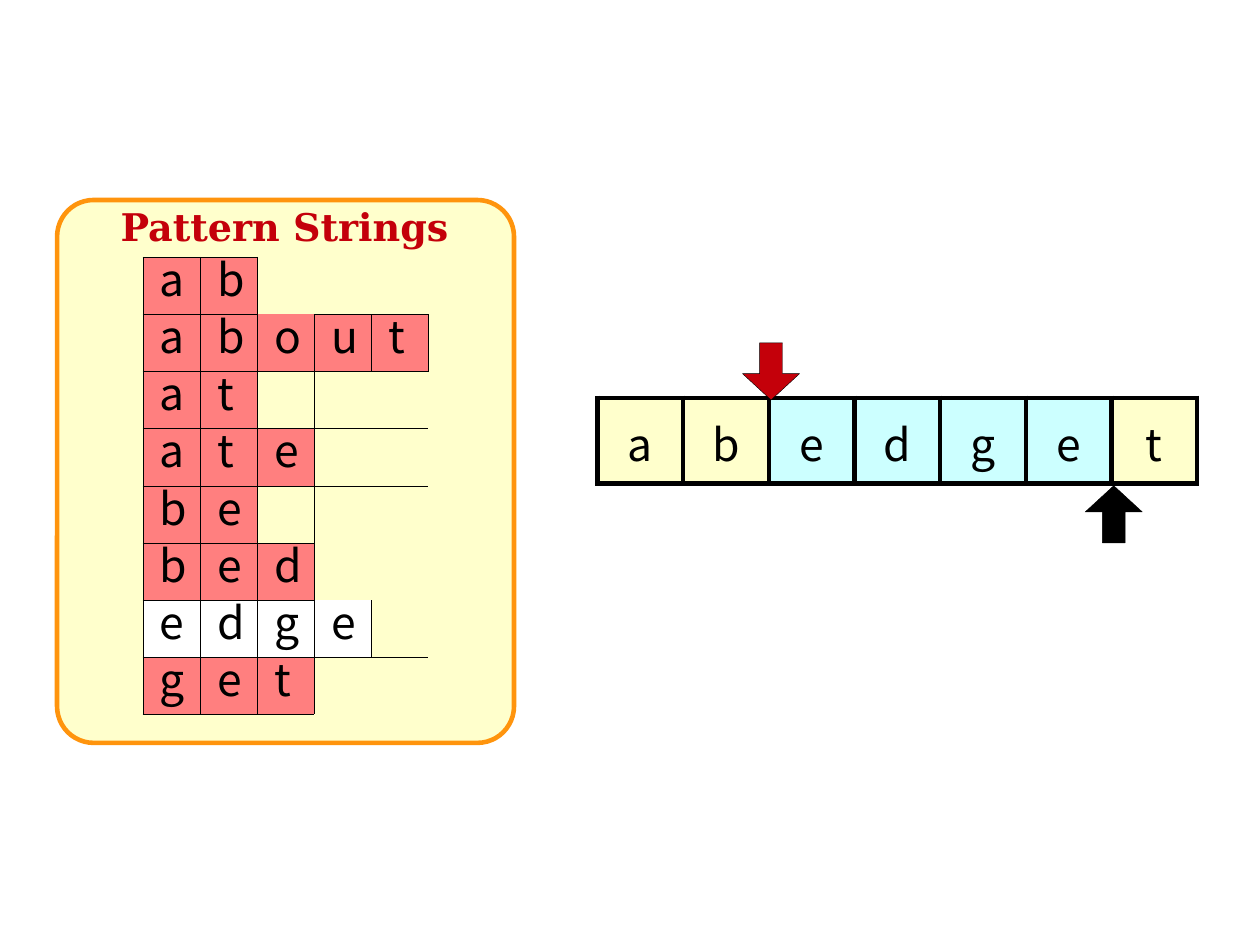
from dataclasses import dataclass

from lxml import etree
from pptx import Presentation
from pptx.dml.color import RGBColor
from pptx.enum.shapes import MSO_SHAPE
from pptx.enum.text import PP_ALIGN
from pptx.oxml.ns import qn
from pptx.util import Pt

ROUNDED = MSO_SHAPE.ROUNDED_RECTANGLE
DOWN_ARROW = MSO_SHAPE.DOWN_ARROW
UP_ARROW = MSO_SHAPE.UP_ARROW
LEFT = PP_ALIGN.LEFT
CENTER = PP_ALIGN.CENTER
PLAIN_TABLE_STYLE = "{2D5ABB26-0587-4C30-8999-92F81FD0307C}"


@dataclass(frozen=True)
class Theme:
    cream: str = "FFFFCC"
    orange: str = "FF940D"
    red: str = "C4000A"
    rose: str = "FF7F7F"
    cyan: str = "CCFFFF"
    white: str = "FFFFFF"
    black: str = "000000"
    title_font: str = "DejaVu Serif"
    letter_font: str = "Noto Sans CJK SC"
    title_size: float = 24
    letter_size: float = 28


def write_text(frame, text, *, font, size, color, bold=False, align=LEFT, spacing=None):
    paragraph = frame.paragraphs[0]
    paragraph.alignment = align
    if spacing:
        paragraph.line_spacing = Pt(spacing)
    run = paragraph.add_run()
    run.text = text
    run.font.name = font
    run.font.size = Pt(size)
    run.font.bold = bold
    run.font.color.rgb = RGBColor.from_string(color)


def cell_edges(row, column):
    return {
        "lnL": ("vertical", row, column),
        "lnR": ("vertical", row, column + 1),
        "lnT": ("horizontal", row, column),
        "lnB": ("horizontal", row + 1, column),
    }


class SlideBuilder:
    def __init__(self, slide, theme):
        self.slide = slide
        self.theme = theme

    def shape(self, kind, box, fill, line, width, adjustments):
        shape = self.slide.shapes.add_shape(kind, *map(Pt, box))
        shape.shadow.inherit = False
        shape.fill.solid()
        shape.fill.fore_color.rgb = RGBColor.from_string(fill)
        shape.line.color.rgb = RGBColor.from_string(line)
        shape.line.width = Pt(width)
        for index, value in enumerate(adjustments):
            shape.adjustments[index] = value

    def arrow(self, kind, tip, top, fill):
        size = 36
        box = (tip - size / 2, top, size, size)
        self.shape(kind, box, fill, self.theme.black, 0.25, (0.4, 0.46))

    def title(self, text, box):
        frame = self.slide.shapes.add_textbox(*map(Pt, box)).text_frame
        frame.word_wrap = True
        frame.margin_left = frame.margin_right = frame.margin_bottom = 0
        frame.margin_top = Pt(1)
        write_text(frame, text, font=self.theme.title_font, size=self.theme.title_size,
                   color=self.theme.red, bold=True)

    def border(self, cell, side, width):
        properties = cell._tc.get_or_add_tcPr()
        line = etree.SubElement(properties, qn(f"a:{side}"), w=str(Pt(width)))
        fill = etree.SubElement(line, qn("a:solidFill"))
        etree.SubElement(fill, qn("a:srgbClr"), val=self.theme.black)

    def letter_table(self, words, fills, origin, size, line_width, *, margins=(0, 0),
                     align=LEFT, spacing=None, hidden=(), extra=(), merges=()):
        rows, columns = len(words), max(map(len, words))
        frame = self.slide.shapes.add_table(
            rows, columns, *map(Pt, (*origin, columns * size, rows * size)))
        table = frame.table
        table.first_row = table.horz_banding = False
        table._tbl.tblPr.find(qn("a:tableStyleId")).text = PLAIN_TABLE_STYLE
        for track in table.columns:
            track.width = Pt(size)
        for track in table.rows:
            track.height = Pt(size)

        edges = set(extra)
        for row, word in enumerate(words):
            for column in range(len(word)):
                edges.update(cell_edges(row, column).values())
        edges -= set(hidden)

        for row, word in enumerate(words):
            for column in range(columns):
                cell = table.cell(row, column)
                cell.margin_left, cell.margin_top = map(Pt, margins)
                cell.margin_right = cell.margin_bottom = 0
                for side, edge in cell_edges(row, column).items():
                    if edge in edges:
                        self.border(cell, side, line_width)
                if column >= len(word):
                    cell.fill.background()
                    continue
                cell.fill.solid()
                cell.fill.fore_color.rgb = RGBColor.from_string(fills[row][column])
                write_text(cell.text_frame, word[column], font=self.theme.letter_font,
                           size=self.theme.letter_size, color=self.theme.black,
                           align=align, spacing=spacing)
        for row, first in merges:
            table.cell(row, first).merge(table.cell(row, columns - 1))


def main():
    theme = Theme()
    presentation = Presentation()
    presentation.slide_width = Pt(794.16)
    presentation.slide_height = Pt(594.72)
    slide = presentation.slides.add_slide(presentation.slide_layouts[6])
    builder = SlideBuilder(slide, theme)

    builder.shape(ROUNDED, (36, 126, 288, 342), theme.cream, theme.orange, 2.89, (0.08,))
    builder.title("Pattern Strings", (76, 127.4, 220, 31))

    cell_size = 54
    text_left, text_top = 376.56, 250.56
    text_fills = [theme.cream] * 2 + [theme.cyan] * 4 + [theme.cream]
    builder.letter_table(["abedget"], [text_fills], (text_left, text_top), cell_size, 3,
                         margins=(0, 8), align=CENTER)

    patterns = ["ab", "about", "at", "ate", "be", "bed", "edge", "get"]
    pattern_fills = [[theme.white if word == "edge" else theme.rose] * len(word)
                     for word in patterns]
    builder.letter_table(
        patterns, pattern_fills, (90, 162), 36, 0.25, margins=(10.8, 0), spacing=32.8,
        hidden=[("horizontal", 1, 2), ("horizontal", 6, 3)],
        extra=[("vertical", 2, 3), ("vertical", 4, 3), ("horizontal", 3, 3),
               ("horizontal", 3, 4), ("horizontal", 7, 4)],
        merges=[(0, 2), (2, 3), (3, 3), (4, 3), (5, 3), (7, 3)])

    builder.arrow(DOWN_ARROW, 486, 216, theme.red)
    builder.arrow(UP_ARROW, 702, 306, theme.black)
    presentation.save("out.pptx")


if __name__ == "__main__":
    main()
